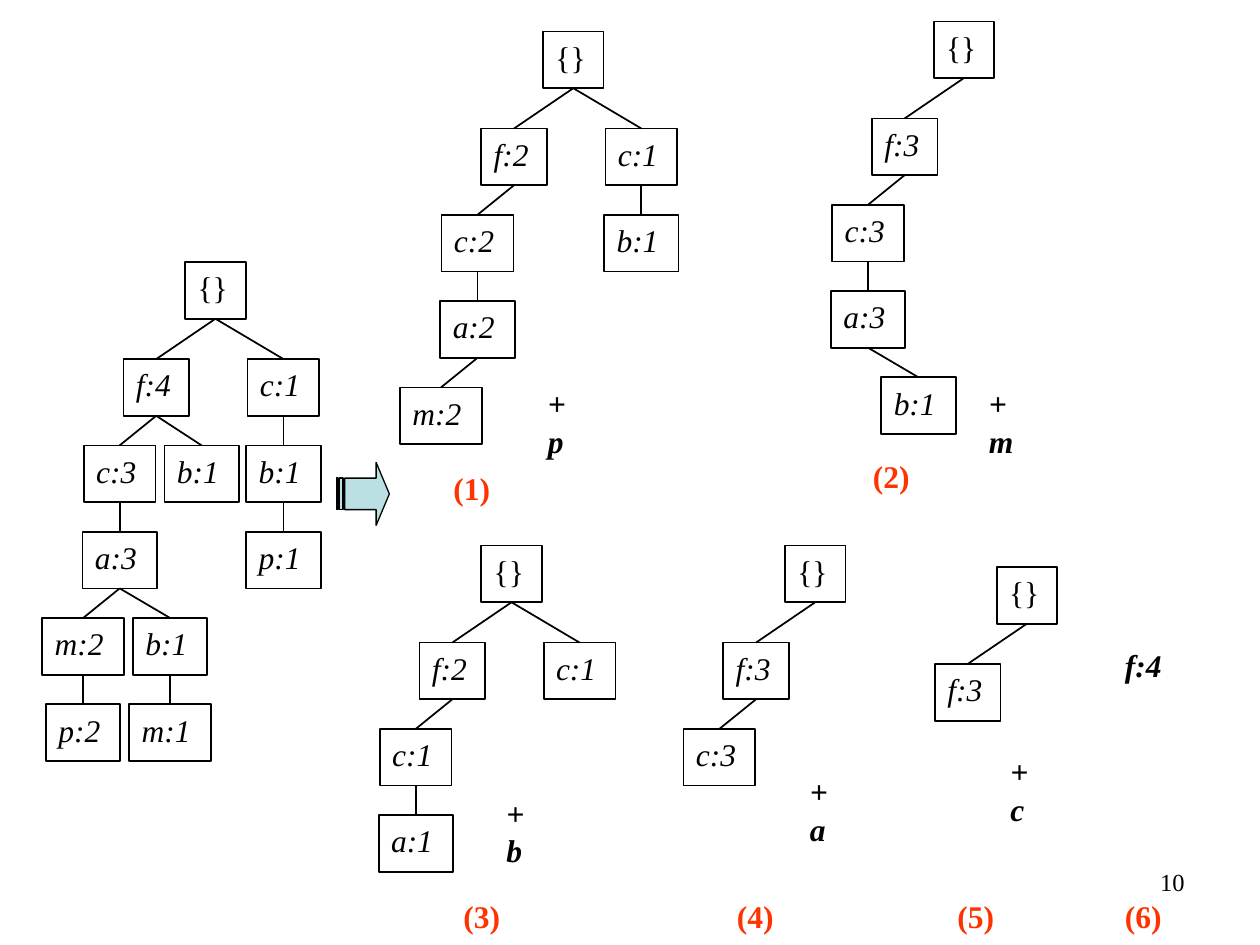
import pptx
import pptx.dml.color
import pptx.enum.shapes
import pptx.enum.text
import pptx.oxml
import pptx.util
from pptx.util import Inches

FONT = "Times New Roman"
BLACK, ORANGE, PALE_TEAL = "000000", "FF3300", "BBE0E3"
NODE_HEIGHT = 0.45
NODE_WIDTHS = {"{": 0.48, "f": 0.52, "c": 0.57, "a": 0.59, "b": 0.59, "p": 0.59, "m": 0.65}
FIRST_DROP, ROW_STEP = 0.77, 0.685

# Horizontal distance of each branch from the centre of the root
ROOT, F_BRANCH, C_BRANCH = 0, -0.47, 0.54
MAIN, SIDE, M_BRANCH, B_BRANCH = -0.76, -0.11, -1.05, -0.36

# Root centre and top, then nodes: label, branch, row, index of parent
TREES = [
    (1.71, 2.08, [("{}", ROOT, 0, None), ("f:4", F_BRANCH, 1, 0), ("c:1", C_BRANCH, 1, 0),
                  ("c:3", MAIN, 2, 1), ("b:1", SIDE, 2, 1), ("b:1", C_BRANCH, 2, 2),
                  ("a:3", MAIN, 3, 3), ("p:1", C_BRANCH, 3, 5), ("m:2", M_BRANCH, 4, 6),
                  ("b:1", B_BRANCH, 4, 6), ("p:2", M_BRANCH, 5, 8), ("m:1", B_BRANCH, 5, 9)]),
    (4.55, 0.25, [("{}", ROOT, 0, None), ("f:2", F_BRANCH, 1, 0), ("c:1", C_BRANCH, 1, 0),
                  ("c:2", MAIN, 2, 1), ("b:1", C_BRANCH, 2, 2), ("a:2", MAIN, 3, 3),
                  ("m:2", M_BRANCH, 4, 5)]),
    (7.65, 0.17, [("{}", ROOT, 0, None), ("f:3", F_BRANCH, 1, 0), ("c:3", MAIN, 2, 1),
                  ("a:3", MAIN, 3, 2), ("b:1", B_BRANCH, 4, 3)]),
    (4.06, 4.33, [("{}", ROOT, 0, None), ("f:2", F_BRANCH, 1, 0), ("c:1", C_BRANCH, 1, 0),
                  ("c:1", MAIN, 2, 1), ("a:1", MAIN, 3, 3)]),
    (6.47, 4.33, [("{}", ROOT, 0, None), ("f:3", F_BRANCH, 1, 0), ("c:3", MAIN, 2, 1)]),
    (8.15, 4.5, [("{}", ROOT, 0, None), ("f:3", F_BRANCH, 1, 0)]),
]
ADDED_ITEMS = [("+ p", 4.25, 3), ("+ m", 7.75, 3), ("+ b", 3.92, 6.25),
               ("+ a", 6.33, 6.08), ("+ c", 7.92, 5.92)]
STEP_NUMBERS = [("(1)", 3.5, 3.67), ("(2)", 6.83, 3.58), ("(3)", 3.58, 7.07),
                ("(4)", 5.75, 7.07), ("(5)", 7.5, 7.07), ("(6)", 8.83, 7.07)]


def rgb(value):
    """Turn a hex string into a colour."""
    return pptx.dml.color.RGBColor.from_string(value)


def write(shape, text, size=18, color=BLACK, bold=False, italic=False, wrap=True, align="LEFT"):
    """Write one formatted run at the top of a shape."""
    frame = shape.text_frame
    frame.word_wrap = wrap
    frame.vertical_anchor = pptx.enum.text.MSO_ANCHOR.TOP
    paragraph = frame.paragraphs[0]
    paragraph.alignment = getattr(pptx.enum.text.PP_ALIGN, align)
    run = paragraph.add_run()
    run.text = text
    run.font.name, run.font.size = FONT, pptx.util.Pt(size)
    run.font.bold, run.font.italic = bold, italic
    run.font.color.rgb = rgb(color)


def label(slide, text, left, top, width, height, **style):
    """Place a free-standing label."""
    box = slide.shapes.add_textbox(*map(Inches, (left, top, width, height)))
    write(box, text, **style)


def edge(slide, start, end):
    """Join two tree nodes with a plain line."""
    line = slide.shapes.add_connector(
        pptx.enum.shapes.MSO_CONNECTOR.STRAIGHT, *map(Inches, (*start, *end)))
    line.line.color.rgb = rgb(BLACK)
    line.line.width = pptx.util.Pt(1)
    properties = line._element.spPr
    properties.append(pptx.oxml.parse_xml(
        '<a:effectLst xmlns:a="http://schemas.openxmlformats.org/drawingml/2006/main"/>'))


def node(slide, text, center, top):
    """Draw one outlined node, centred on its branch."""
    width = NODE_WIDTHS[text[0]]
    box = slide.shapes.add_shape(
        pptx.enum.shapes.MSO_SHAPE.RECTANGLE,
        *map(Inches, (center - width / 2, top, width, NODE_HEIGHT)))
    box.shadow.inherit = False
    box.fill.background()
    box.line.color.rgb = rgb(BLACK)
    box.line.width = pptx.util.Pt(1)
    write(box, text, italic=text != "{}", wrap=False)


def tree(slide, center, top, nodes):
    """Draw a prefix tree hanging from the given root position."""
    places = []
    for text, branch, row, parent in nodes:
        x = center + branch
        y = top + (FIRST_DROP + (row - 1) * ROW_STEP if row else 0)
        places.append((x, y))
        node(slide, text, x, y)
        if parent is not None:
            parent_x, parent_y = places[parent]
            edge(slide, (parent_x, parent_y + NODE_HEIGHT), (x, y))


def step_arrow(slide, left, top, width, height):
    """Draw the striped arrow from the full tree to its projections."""
    arrow = slide.shapes.add_shape(
        pptx.enum.shapes.MSO_SHAPE.STRIPED_RIGHT_ARROW,
        *map(Inches, (left, top, width, height)))
    arrow.adjustments[0], arrow.adjustments[1] = 0.5, 0.25
    arrow.shadow.inherit = False
    arrow.fill.solid()
    arrow.fill.fore_color.rgb = rgb(PALE_TEAL)
    arrow.line.color.rgb = rgb(BLACK)
    arrow.line.width = pptx.util.Pt(0.75)


def main():
    """Build and save the slide."""
    deck = pptx.Presentation()
    deck.slide_width, deck.slide_height = Inches(10), Inches(7.5)
    slide = deck.slides.add_slide(deck.slide_layouts[6])
    label(slide, "10", 7.17, 6.83, 2.33, 0.52, size=14, align="RIGHT")
    for center, top, nodes in TREES:
        tree(slide, center, top, nodes)
    step_arrow(slide, 2.67, 3.67, 0.42, 0.5)
    for text, left, top in ADDED_ITEMS:
        label(slide, text, left, top, 0.5, 0.77, bold=True, italic=True)
    label(slide, "f:4", 8.83, 5.08, 0.58, 0.43, bold=True, italic=True)
    for text, left, top in STEP_NUMBERS:
        label(slide, text, left, top, 0.58, 0.43, color=ORANGE, bold=True)
    deck.save("out.pptx")


main()
